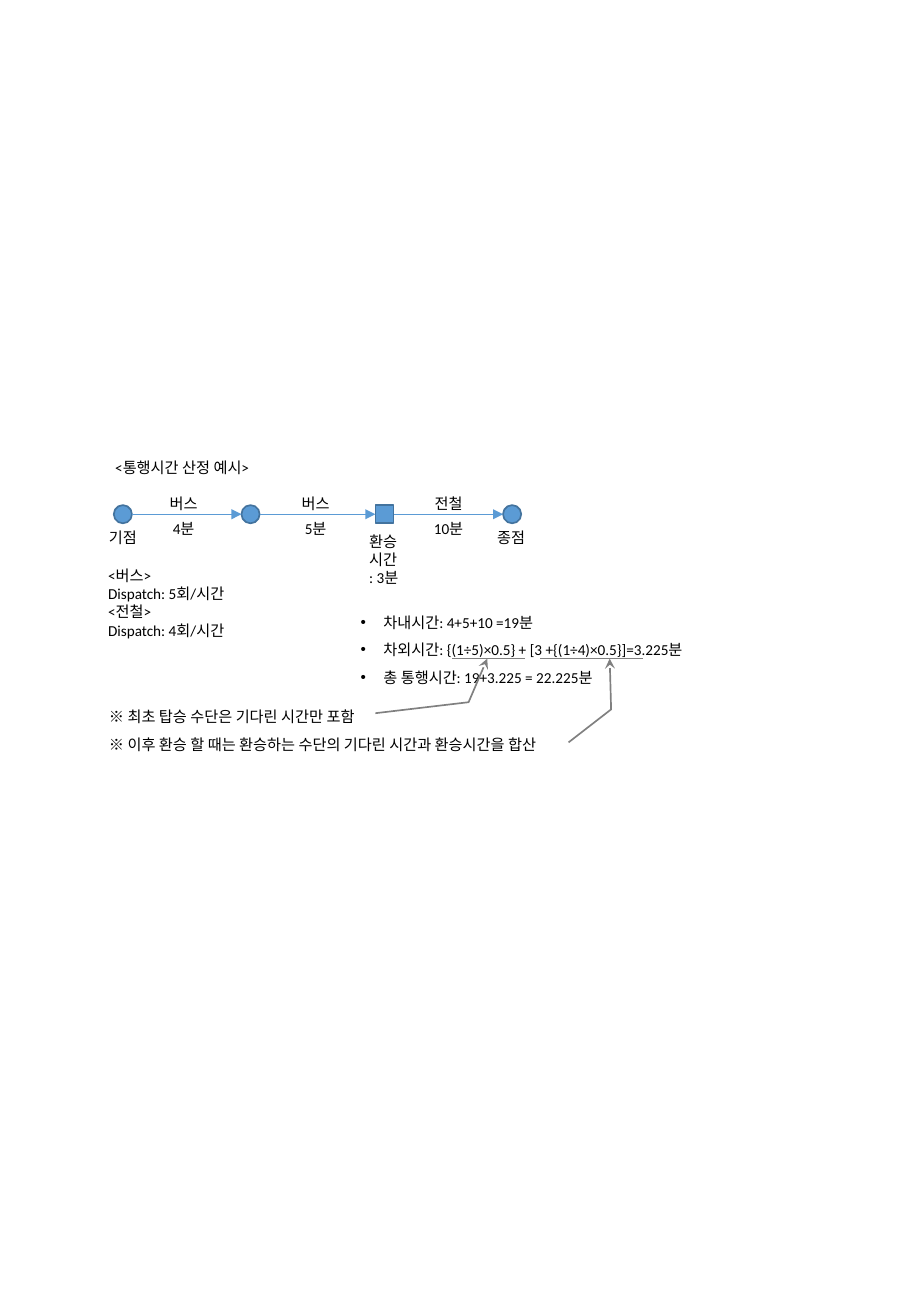
"""Build a slide that works out a sample travel time by bus and train."""
from dataclasses import dataclass

from lxml import etree
from pptx import Presentation
from pptx import util as u
from pptx.dml import color
from pptx.enum import shapes, text
from pptx.oxml import ns


@dataclass(frozen=True)
class Theme:
    font: str = "Calibri"
    size: float = 9
    ink: str = "000000"
    node: str = "5B9BD5"
    edge: str = "43739E"
    note: str = "808080"
    thin: float = 0.5
    thick: float = 1


class Board:
    def __init__(self, slide, theme):
        self.slide, self.theme = slide, theme

    def stroke(self, item, tone, width, head=None):
        item.line.color.rgb = color.RGBColor.from_string(tone)
        item.line.width = u.Pt(width)
        if head:
            line = item.element.spPr.find(ns.qn("a:ln"))
            etree.SubElement(line, ns.qn("a:tailEnd"), type=head)

    def stop(self, kind, mid, row, size):
        item = self.slide.shapes.add_shape(
            kind, u.Cm(mid - size / 2), u.Cm(row - size / 2), u.Cm(size), u.Cm(size))
        item.shadow.inherit = False
        item.fill.solid()
        item.fill.fore_color.rgb = color.RGBColor.from_string(self.theme.node)
        self.stroke(item, self.theme.edge, self.theme.thick)

    def rule(self, left, right, row, tone, head=None):
        item = self.slide.shapes.add_connector(
            shapes.MSO_CONNECTOR.STRAIGHT, u.Cm(left), u.Cm(row), u.Cm(right), u.Cm(row))
        self.stroke(item, tone, self.theme.thin, head)
        etree.SubElement(item.element.spPr, ns.qn("a:effectLst"))

    def bend(self, points):
        first, *rest = [(u.Cm(x), u.Cm(y)) for x, y in points]
        pen = self.slide.shapes.build_freeform(*first)
        pen.add_line_segments(rest, close=False)
        item = pen.convert_to_shape()
        item.shadow.inherit = False
        item.fill.background()
        self.stroke(item, self.theme.note, self.theme.thick, "stealth")

    def words(self, lines, left, top, width, height, align=None, space=None, dots=False):
        box = self.slide.shapes.add_textbox(u.Cm(left), u.Cm(top), u.Cm(width), u.Cm(height))
        frame = box.text_frame
        frame.word_wrap = True
        frame.auto_size = text.MSO_AUTO_SIZE.SHAPE_TO_FIT_TEXT
        for place, line in enumerate(lines):
            para = frame.add_paragraph() if place else frame.paragraphs[0]
            para.alignment, para.line_spacing = align, space
            run = para.add_run()
            run.text = line
            run.font.name, run.font.size = self.theme.font, u.Pt(self.theme.size)
            run.font.color.rgb = color.RGBColor.from_string(self.theme.ink)
            if dots:
                props = para._p.get_or_add_pPr()
                props.set("marL", str(u.Cm(0.48)))
                props.set("indent", str(-u.Cm(0.48)))
                etree.SubElement(props, ns.qn("a:buFont"), typeface="Arial")
                etree.SubElement(props, ns.qn("a:buChar"), char="•")

    def label(self, line, mid, top, width=3.05):
        self.words([line], mid - width / 2, top, width, 0.64, text.PP_ALIGN.CENTER)


deck = Presentation()
deck.slide_width, deck.slide_height = u.Cm(19.05), u.Cm(27.51)
theme = Theme()
board = Board(deck.slides.add_slide(deck.slide_layouts[6]), theme)

ROW, SIZE = 10.75, 0.38
ROUND, SQUARE = shapes.MSO_SHAPE.OVAL, shapes.MSO_SHAPE.RECTANGLE
stops = [(ROUND, 2.57), (ROUND, 5.24), (SQUARE, 8.04), (ROUND, 10.71)]
for kind, mid in stops:
    board.stop(kind, mid, ROW, SIZE)
for (_, start), (_, end) in zip(stops, stops[1:]):
    board.rule(start + SIZE / 2, end - SIZE / 2, ROW, theme.node, "triangle")

for mode, time, mid in [("버스", "4분", 3.84), ("버스", "5분", 6.6), ("전철", "10분", 9.38)]:
    board.label(mode, mid, 10.2)
    board.label(time, mid, 10.74)
for name, mid in [("기점", 2.57), ("종점", 10.69)]:
    board.label(name, mid, 10.92)

board.words(["<통행시간 산정 예시>"], 2.16, 9.27, 11.35, 0.76, space=1.5)
board.words(["<버스>", "Dispatch: 5회/시간", "<전철>", "Dispatch: 4회/시간"],
            2.01, 11.71, 3.05, 2.18)
board.words(["환승", "시간", ": 3분"], 7.47, 11, 3.05, 1.42)
board.words(["차내시간: 4+5+10 =19분",
             "차외시간: {(1÷5)×0.5} + [3 +{(1÷4)×0.5}]=3.225분",
             "총 통행시간: 19+3.225 = 22.225분"],
            7.29, 12.5, 9.04, 1.98, space=1.5, dots=True)
board.words(["※ 최초 탑승 수단은 기다린 시간만 포함",
             "※ 이후 환승 할 때는 환승하는 수단의 기다린 시간과 환승시간을 합산"],
            2.03, 14.48, 11.35, 1.42, space=1.5)

BASE = 13.77
board.bend([(7.85, 14.91), (9.8, 14.68), (10.19, BASE)])
board.bend([(11.89, 15.52), (12.78, 14.83), (12.75, BASE)])
for left, right in [(9.45, 10.97), (11.3, 13.44)]:
    board.rule(left, right, BASE, theme.note)

deck.save("out.pptx")
